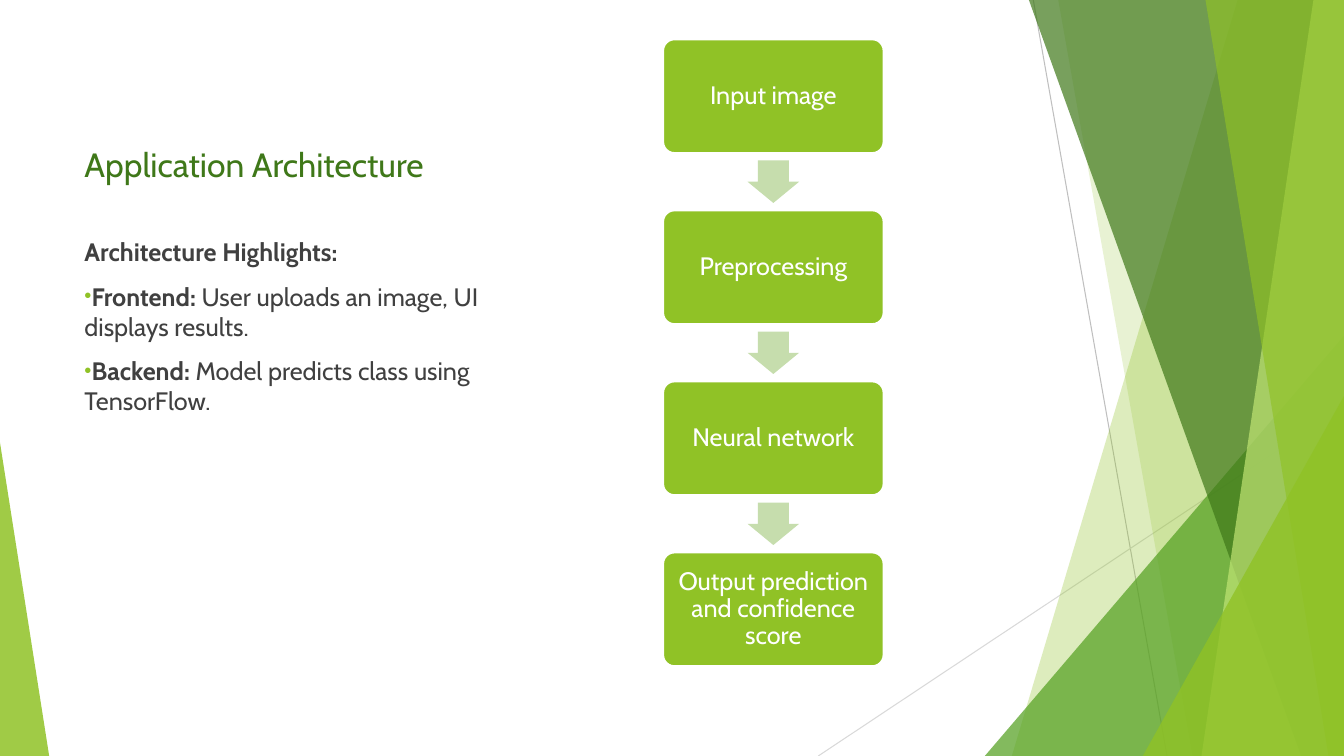
import dataclasses

import pptx
import pptx.dml.color
import pptx.enum.shapes
import pptx.enum.text
import pptx.oxml
import pptx.oxml.ns
import pptx.util

Cm = pptx.util.Cm
Pt = pptx.util.Pt
KIND = pptx.enum.shapes.MSO_SHAPE
ALIGN = pptx.enum.text.PP_ALIGN
ANCHOR = pptx.enum.text.MSO_ANCHOR

WIDE, HIGH = 33.87, 19.05
FONT = "Cabin"
COLORS = {
    "lime": "90C226",
    "leaf": "54A021",
    "forest": "3F7819",
    "pale": "C0E474",
    "arrow": "C6DDAD",
    "text": "404040",
    "white": "FFFFFF",
    "gray": "BFBFBF",
    "silver": "D9D9D9",
}


@dataclasses.dataclass
class Ray:
    start: tuple[float, float]
    end: tuple[float, float]
    color: str


@dataclasses.dataclass
class Band:
    top: float
    base: float
    color: str
    alpha: int


@dataclasses.dataclass
class Wedge:
    left: float
    top: float
    width: float
    tip: float
    color: str
    alpha: int


RAYS = [
    Ray((26.04, 0), (29.41, HIGH), "gray"),
    Ray((WIDE, 10.24), (20.62, HIGH), "silver"),
]
DECOR = [
    Band(31.19, 25.5, "lime", 30),
    Band(26.67, 30.05, "lime", 20),
    Wedge(24.82, 8.46, 9.05, 1, "leaf", 72),
    Band(25.93, 32.79, "forest", 70),
    Band(33.1, 30.28, "pale", 70),
    Band(30.38, 33.48, "lime", 65),
    Wedge(28.8, 9.98, 5.07, 1, "lime", 80),
    Wedge(0, 11.15, 1.24, 0, "lime", 85),
]
STEPS = [
    "Input image",
    "Preprocessing",
    "Neural network",
    "Output prediction and confidence score",
]
NOTES = [
    ("Architecture Highlights:", ""),
    ("Frontend:", " User uploads an image, UI displays results."),
    ("Backend:", " Model predicts class using TensorFlow."),
]


def tint(name: str) -> pptx.dml.color.RGBColor:
    return pptx.dml.color.RGBColor.from_string(COLORS[name])


def add_child(parent, tag: str, **attrs: str):
    child = pptx.oxml.parse_xml(f"<a:{tag} {pptx.oxml.ns.nsdecls('a')}/>")
    for key, value in attrs.items():
        child.set(key, value)
    parent.append(child)
    return child


def paint(shape, color: str, alpha: int = 100) -> None:
    shape.shadow.inherit = False
    shape.fill.solid()
    shape.fill.fore_color.rgb = tint(color)
    if alpha < 100:
        fill = shape.element.spPr.find(".//" + pptx.oxml.ns.qn("a:srgbClr"))
        add_child(fill, "alpha", val=str(alpha * 1000))
    shape.line.fill.background()


def write(para, text: str, *, size: int = 18, color: str = "text", bold: bool = False) -> None:
    run = para.add_run()
    run.text = text
    run.font.name = FONT
    run.font.size = Pt(size)
    run.font.bold = bold
    run.font.color.rgb = tint(color)


def add_bullet(para) -> None:
    props = para._p.get_or_add_pPr()
    props.set("marL", "0")
    props.set("indent", "0")
    add_child(add_child(props, "buClr"), "srgbClr", val=COLORS["lime"])
    add_child(props, "buSzPct", val="80000")
    add_child(props, "buFont", typeface="Arial")
    add_child(props, "buChar", char="•")


def add_frame(shapes, left: float, top: float, width: float, height: float):
    frame = shapes.add_textbox(Cm(left), Cm(top), Cm(width), Cm(height)).text_frame
    frame.word_wrap = True
    return frame


def draw_ray(shapes, ray: Ray) -> None:
    ends = [Cm(value) for value in ray.start + ray.end]
    line = shapes.add_connector(pptx.enum.shapes.MSO_CONNECTOR.STRAIGHT, *ends)
    line.line.color.rgb = tint(ray.color)
    line.line.width = Pt(0.75)
    add_child(line.element.spPr, "effectLst")


def draw_band(shapes, band: Band) -> None:
    maker = shapes.build_freeform(Cm(band.top), 0)
    corners = [(WIDE, 0), (WIDE, HIGH), (band.base, HIGH)]
    maker.add_line_segments([(Cm(x), Cm(y)) for x, y in corners])
    paint(maker.convert_to_shape(), band.color, band.alpha)


def draw_wedge(shapes, wedge: Wedge) -> None:
    shape = shapes.add_shape(KIND.ISOSCELES_TRIANGLE, Cm(wedge.left), Cm(wedge.top),
                             Cm(wedge.width), Cm(HIGH - wedge.top))
    shape.adjustments[0] = wedge.tip
    paint(shape, wedge.color, wedge.alpha)


def draw_steps(shapes) -> None:
    left, top, width, height, pitch = 16.71, 0.99, 5.56, 2.87, 4.31
    wide, tall = 1.3, 1.07
    for row, label in enumerate(STEPS):
        y = top + row * pitch
        box = shapes.add_shape(KIND.ROUNDED_RECTANGLE, Cm(left), Cm(y), Cm(width), Cm(height))
        box.adjustments[0] = 0.1
        paint(box, "lime")
        box.line.color.rgb = tint("white")
        box.line.width = Pt(1.5)
        frame = box.text_frame
        frame.word_wrap = True
        frame.vertical_anchor = ANCHOR.MIDDLE
        frame.margin_left = frame.margin_right = Cm(0.18)
        frame.margin_top = frame.margin_bottom = Cm(0.18)
        para = frame.paragraphs[0]
        para.alignment = ALIGN.CENTER
        para.line_spacing = 0.9
        write(para, label, color="white")
        if row < len(STEPS) - 1:
            gap = pitch - height
            arrow = shapes.add_shape(KIND.DOWN_ARROW, Cm(left + (width - wide) / 2),
                                     Cm(y + height + (gap - tall) / 2), Cm(wide), Cm(tall))
            arrow.adjustments[0] = 0.6
            arrow.adjustments[1] = 0.5
            paint(arrow, "arrow")


def draw_text(shapes) -> None:
    title = add_frame(shapes, 1.88, 2.31, 10.72, 2.46)
    title.vertical_anchor = ANCHOR.BOTTOM
    write(title.paragraphs[0], "Application Architecture", size=24, color="forest")
    body = add_frame(shapes, 1.88, 5.84, 10.72, 6.22)
    for row, (head, rest) in enumerate(NOTES):
        para = body.add_paragraph() if row else body.paragraphs[0]
        para.space_before = Pt(10)
        write(para, head, bold=True)
        if rest:
            add_bullet(para)
            write(para, rest)


def main() -> None:
    deck = pptx.Presentation()
    deck.slide_width, deck.slide_height = Cm(WIDE), Cm(HIGH)
    shapes = deck.slides.add_slide(deck.slide_layouts[6]).shapes
    for ray in RAYS:
        draw_ray(shapes, ray)
    for part in DECOR:
        if isinstance(part, Band):
            draw_band(shapes, part)
        else:
            draw_wedge(shapes, part)
    draw_text(shapes)
    draw_steps(shapes)
    deck.save("out.pptx")


if __name__ == "__main__":
    main()
